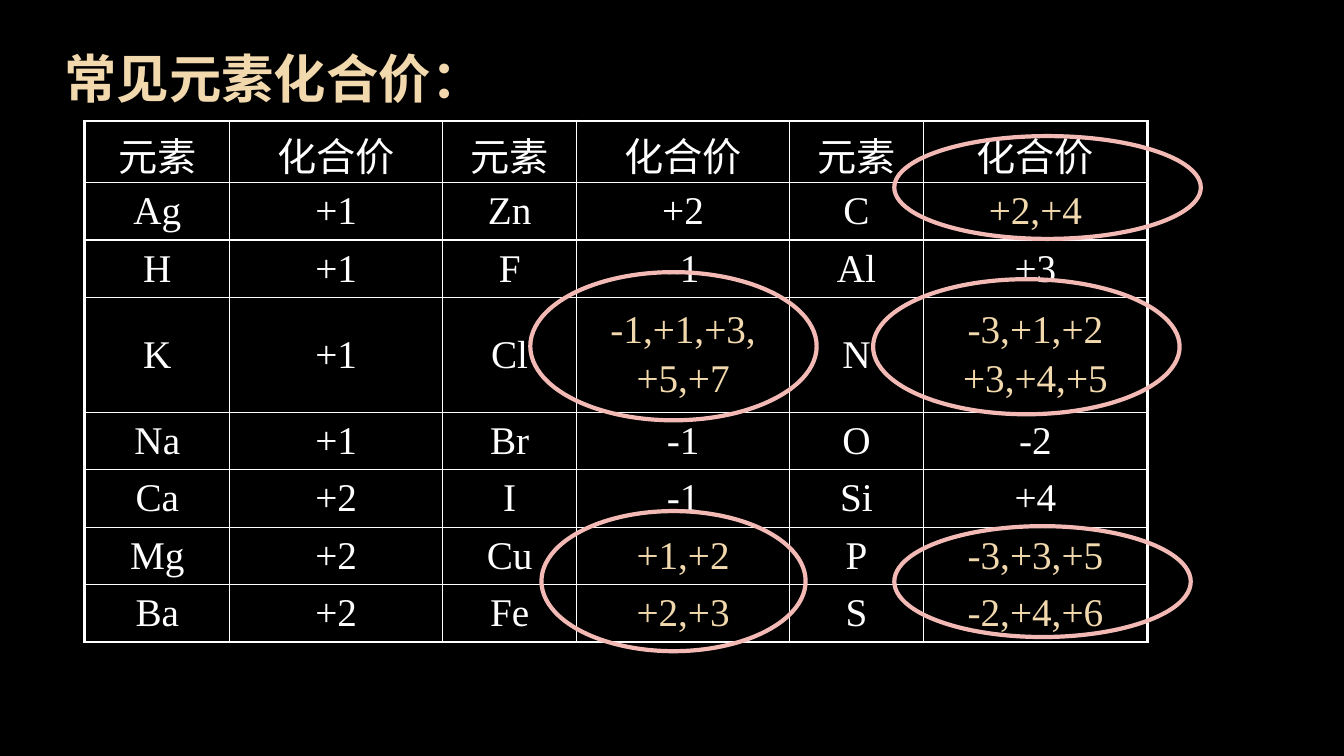
from dataclasses import dataclass

from lxml.etree import SubElement
from pptx import Presentation
from pptx.dml.color import RGBColor
from pptx.enum.shapes import MSO_SHAPE as SHAPE
from pptx.enum.text import MSO_ANCHOR as ANCHOR, MSO_AUTO_SIZE as AUTO, PP_ALIGN as ALIGN
from pptx.oxml.ns import qn
from pptx.util import Inches, Pt


@dataclass(frozen=True)
class Theme:
    font: str = "Times New Roman"
    back: str = "000000"
    text: str = "FFFFFF"
    accent: str = "F1D8AD"
    ring: str = "F3BAB5"
    title_size: float = 37.4
    cell_size: float = 28
    inner_line: float = 1
    outer_line: float = 2.25
    ring_line: float = 3


THEME = Theme()
COL_WIDTHS = [1.44, 2.11, 1.33, 2.11, 1.33, 2.22]
ROW_HEIGHT = 0.57
VALENCES = [
    ["元素", "化合价"] * 3,
    ["Ag", "+1", "Zn", "+2", "C", "+2,+4"],
    ["H", "+1", "F", "-1", "Al", "+3"],
    ["K", "+1", "Cl", "-1,+1,+3,\n+5,+7", "N", "-3,+1,+2\n+3,+4,+5"],
    ["Na", "+1", "Br", "-1", "O", "-2"],
    ["Ca", "+2", "I", "-1", "Si", "+4"],
    ["Mg", "+2", "Cu", "+1,+2", "P", "-3,+3,+5"],
    ["Ba", "+2", "Fe", "+2,+3", "S", "-2,+4,+6"],
]
# Ring boxes relative to the table's top left corner
RINGS = [
    (4.42, 1.5, 2.84, 1.47),
    (4.53, 3.87, 2.62, 1.39),
    (8.03, 0.15, 3.04, 1.02),
    (7.82, 1.57, 3.04, 1.34),
    (8.03, 4.02, 2.94, 1.1),
]


def style_font(font, size, color, bold=False):
    font.name, font.size, font.bold = THEME.font, Pt(size), bold
    font.color.rgb = RGBColor.from_string(color)


def add_title(s, left, top, width, height):
    title = s.shapes.title
    title.left, title.top = Inches(left), Inches(top)
    title.width, title.height = Inches(width), Inches(height)
    tf = title.text_frame
    tf.text = "常见元素化合价："
    tf.auto_size, tf.word_wrap = AUTO.NONE, False
    tf.vertical_anchor = ANCHOR.MIDDLE
    p = tf.paragraphs[0]
    p.alignment = ALIGN.LEFT
    style_font(p.runs[0].font, THEME.title_size, THEME.accent, bold=True)


def set_borders(cell, outer_sides):
    tc_pr = cell._tc.get_or_add_tcPr()
    for i, side in enumerate("LRTB"):
        width = THEME.outer_line if side in outer_sides else THEME.inner_line
        ln = tc_pr.makeelement(qn(f"a:ln{side}"), {"w": str(Pt(width))})
        fill = SubElement(ln, qn("a:solidFill"))
        SubElement(fill, qn("a:srgbClr"), val=THEME.text)
        tc_pr.insert(i, ln)


def fill_cell(cell, text, is_header):
    cell.fill.background()
    cell.vertical_anchor = ANCHOR.MIDDLE
    cell.margin_left = cell.margin_right = Inches(0.13)
    cell.margin_top = Inches(0.05)
    cell.margin_bottom = Inches(0 if is_header else 0.05)
    cell.text_frame.text = text
    # Elements with several valences stand out
    color = THEME.accent if "," in text else THEME.text
    for i, p in enumerate(cell.text_frame.paragraphs):
        p.alignment = ALIGN.CENTER
        if i:
            p.space_before = Pt(4)
        style_font(p.runs[0].font, THEME.cell_size, color)


def add_valence_table(s, left, top):
    n_rows, n_cols = len(VALENCES), len(COL_WIDTHS)
    heights = [ROW_HEIGHT * (1 + max(t.count("\n") for t in row)) for row in VALENCES]
    table = s.shapes.add_table(n_rows, n_cols, Inches(left), Inches(top),
                               Inches(sum(COL_WIDTHS)), Inches(sum(heights))).table
    table.first_row = table.horz_banding = False
    for col, width in zip(table.columns, COL_WIDTHS):
        col.width = Inches(width)
    for r, (row, height) in enumerate(zip(VALENCES, heights)):
        table.rows[r].height = Inches(height)
        for c, text in enumerate(row):
            cell = table.cell(r, c)
            fill_cell(cell, text, r == 0)
            edges = {"L": c == 0, "R": c == n_cols - 1, "T": r == 0, "B": r == n_rows - 1}
            set_borders(cell, [side for side, outer in edges.items() if outer])


def add_rings(s, left, top):
    for x, y, width, height in RINGS:
        sp = s.shapes.add_shape(SHAPE.OVAL, Inches(left + x), Inches(top + y),
                                Inches(width), Inches(height))
        sp.shadow.inherit = False
        sp.fill.background()
        sp.line.color.rgb = RGBColor.from_string(THEME.ring)
        sp.line.width = Pt(THEME.ring_line)


def main():
    prs = Presentation()
    prs.slide_width, prs.slide_height = Inches(13.33), Inches(7.5)
    s = prs.slides.add_slide(prs.slide_layouts[5])
    s.background.fill.solid()
    s.background.fill.fore_color.rgb = RGBColor.from_string(THEME.back)
    add_title(s, 0.54, 0.4, 4.41, 0.73)
    add_valence_table(s, 0.84, 1.2)
    add_rings(s, 0.84, 1.2)
    prs.save("out.pptx")


if __name__ == "__main__":
    main()
